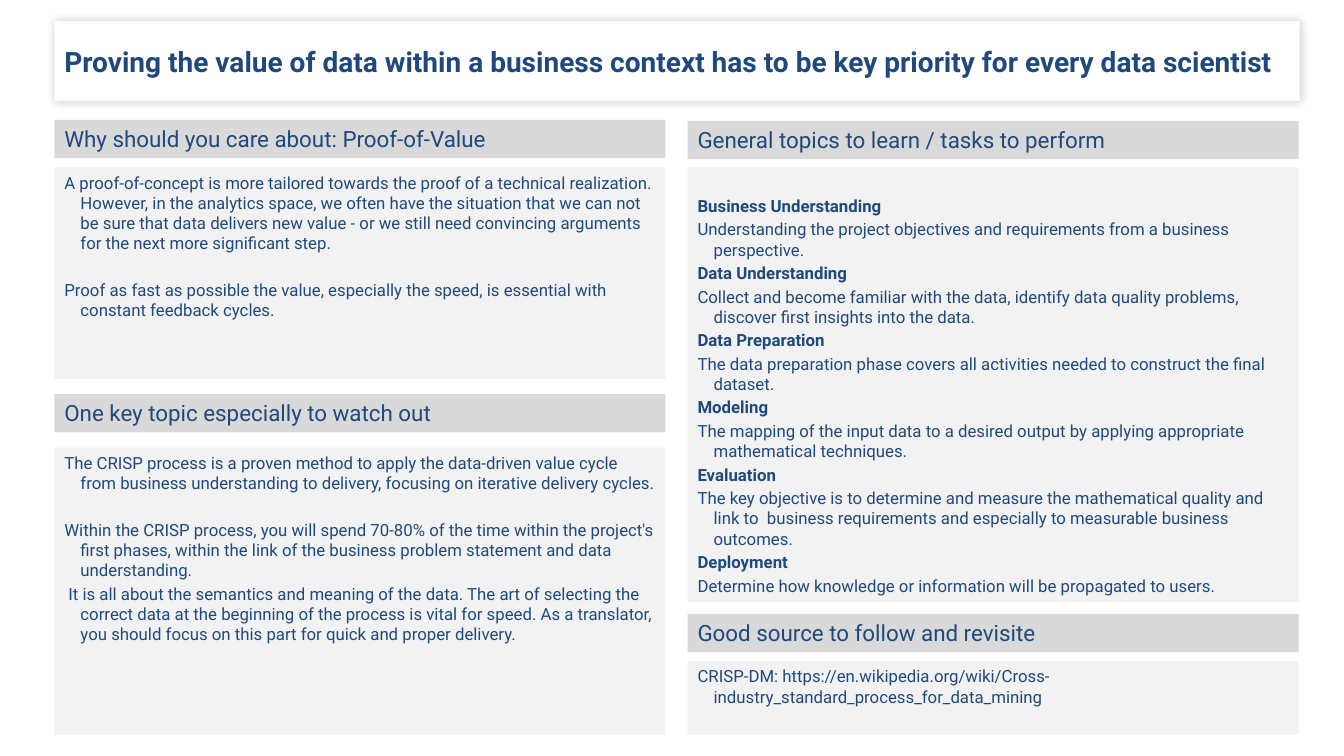
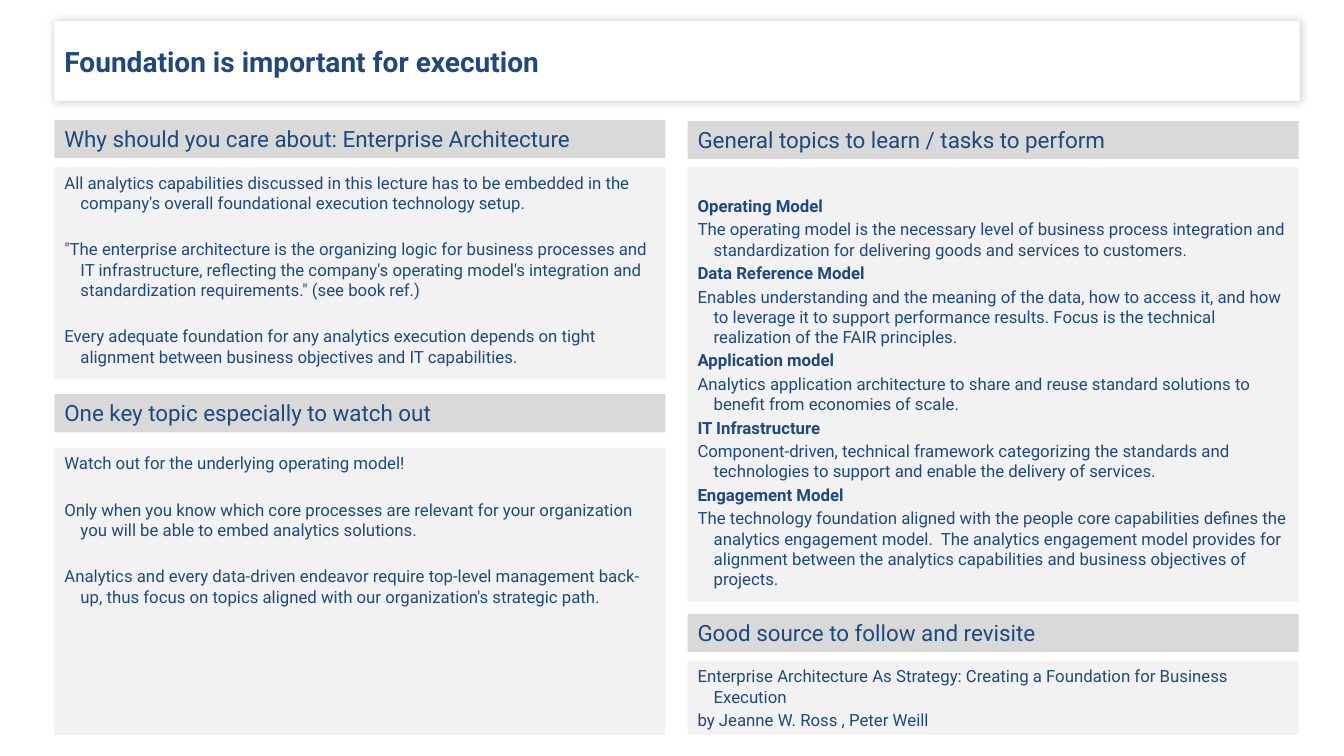
from lxml import etree
from pptx import Presentation
from pptx.dml.color import RGBColor
from pptx.enum.shapes import MSO_SHAPE
from pptx.enum.text import MSO_ANCHOR, PP_ALIGN
from pptx.oxml.ns import qn
from pptx.util import Inches, Pt

RECTANGLE = MSO_SHAPE.RECTANGLE
TOP, MIDDLE = MSO_ANCHOR.TOP, MSO_ANCHOR.MIDDLE
LEFT = PP_ALIGN.LEFT

FONT = "Roboto"
NAVY, WHITE, BAND, PANEL = "1F497D", "FFFFFF", "D9D9D9", "F2F2F2"

TITLE_BOX = (0.54, 0.21, 12.35, 0.79)
COLUMN_WIDTH = 6.06
BAND_HEIGHT = 0.38
LEFT_X, RIGHT_X = 0.54, 6.82
HANG = 0.16

# Section name: left, top of band, top of panel, height of panel, top inset
SECTIONS = {
    "why": (LEFT_X, 1.19, 1.66, 2.1, 0.05),
    "watch": (LEFT_X, 3.91, 4.44, 2.85, 0.05),
    "topics": (RIGHT_X, 1.2, 1.66, 4.31, 0.28),
    "source": (RIGHT_X, 6.09, 6.56, 0.73, 0.05),
}

# Paragraph styles: font values, space before in points, left margin, first-line indent
STYLES = {
    "title": ({"size": Pt(20), "bold": True}, 0, 0, 0),
    "band": ({"size": Pt(16), "bold": False}, 0, 0, 0),
    "text": ({"size": Pt(12), "bold": False}, 2.4, HANG, -HANG),
    "spaced": ({"size": Pt(12), "bold": False}, 19, HANG, -HANG),
    "shifted": ({"size": Pt(12), "bold": False}, 2.4, HANG, -0.12),
    "topic": ({"size": Pt(12), "bold": True}, 2.4, HANG, -HANG),
}


def color(hex_value):
    return RGBColor.from_string(hex_value)


def add_paragraph(frame, text, style, first):
    font_values, space_before, margin, indent = STYLES[style]
    paragraph = frame.paragraphs[0] if first else frame.add_paragraph()
    properties = paragraph._p.get_or_add_pPr()
    properties.set("marL", str(Inches(margin)))
    properties.set("indent", str(Inches(indent)))
    paragraph.alignment = LEFT
    paragraph.space_before = Pt(0 if first else space_before)
    run = paragraph.add_run()
    run.text = text
    run.font.name = FONT
    run.font.color.rgb = color(NAVY)
    for name, value in font_values.items():
        setattr(run.font, name, value)


def add_box(slide, box, fill, paragraphs, anchor=TOP, top_inset=0.05):
    """Add a filled rectangle holding (style, text) paragraphs."""
    shape = slide.shapes.add_shape(RECTANGLE, *(Inches(length) for length in box))
    shape.shadow.inherit = False
    shape.fill.solid()
    shape.fill.fore_color.rgb = color(fill)
    shape.line.fill.background()
    frame = shape.text_frame
    frame.word_wrap = True
    frame.vertical_anchor = anchor
    frame.margin_top = Inches(top_inset)
    for index, (style, text) in enumerate(paragraphs):
        add_paragraph(frame, text, style, index == 0)
    return shape


def add_soft_shadow(shape):
    effects = shape._element.spPr.find(qn("a:effectLst"))
    shadow = etree.SubElement(effects, qn("a:outerShdw"), blurRad=str(Pt(6)),
                              dist="0", dir=str(315 * 60000), rotWithShape="0")
    shade = etree.SubElement(shadow, qn("a:srgbClr"), val="000000")
    etree.SubElement(shade, qn("a:alpha"), val="20000")


def add_title(slide, text):
    add_soft_shadow(add_box(slide, TITLE_BOX, WHITE, [("title", text)], MIDDLE))


def add_section(slide, section, heading, paragraphs):
    left, band_top, panel_top, panel_height, top_inset = SECTIONS[section]
    add_box(slide, (left, band_top, COLUMN_WIDTH, BAND_HEIGHT), BAND,
            [("band", heading)])
    add_box(slide, (left, panel_top, COLUMN_WIDTH, panel_height), PANEL,
            paragraphs, top_inset=top_inset)


def topic_paragraphs(topics):
    return [pair for topic, text in topics
            for pair in (("topic", topic), ("text", text))]


def add_lesson_slide(presentation, lesson):
    slide = presentation.slides.add_slide(presentation.slide_layouts[6])
    add_title(slide, lesson["title"])
    add_section(slide, "why", f"Why should you care about: {lesson['subject']}",
                lesson["why"])
    add_section(slide, "watch", "One key topic especially to watch out",
                lesson["watch"])
    add_section(slide, "topics", "General topics to learn / tasks to perform",
                topic_paragraphs(lesson["topics"]))
    add_section(slide, "source", "Good source to follow and revisite",
                lesson["source"])


PROOF_OF_VALUE = {
    "title": "Proving the value of data within a business context has to be key "
             "priority for every data scientist",
    "subject": "Proof-of-Value",
    "why": [
        ("text", "A proof-of-concept is more tailored towards the proof of a technical "
                 "realization. However, in the analytics space, we often have the "
                 "situation that we can not be sure that data delivers new value - or "
                 "we still need convincing arguments for the next more significant step."),
        ("spaced", "Proof as fast as possible the value, especially the speed, is "
                   "essential with constant feedback cycles."),
    ],
    "watch": [
        ("text", "The CRISP process is a proven method to apply the data-driven value "
                 "cycle from business understanding to delivery, focusing on iterative "
                 "delivery cycles."),
        ("spaced", "Within the CRISP process, you will spend 70-80% of the time within "
                   "the project's first phases, within the link of the business problem "
                   "statement and data understanding."),
        ("shifted", "It is all about the semantics and meaning of the data. The art of "
                    "selecting the correct data at the beginning of the process is vital "
                    "for speed. As a translator, you should focus on this part for quick "
                    "and proper delivery."),
    ],
    "topics": [
        ("Business Understanding",
         "Understanding the project objectives and requirements from a business "
         "perspective."),
        ("Data Understanding",
         "Collect and become familiar with the data, identify data quality problems, "
         "discover first insights into the data."),
        ("Data Preparation",
         "The data preparation phase covers all activities needed to construct the "
         "final dataset."),
        ("Modeling",
         "The mapping of the input data to a desired output by applying appropriate "
         "mathematical techniques."),
        ("Evaluation",
         "The key objective is to determine and measure the mathematical quality and "
         "link to  business requirements and especially to measurable business outcomes."),
        ("Deployment",
         "Determine how knowledge or information will be propagated to users."),
    ],
    "source": [
        ("text", "CRISP-DM: https://en.wikipedia.org/wiki/"
                 "Cross-industry_standard_process_for_data_mining"),
    ],
}

ENTERPRISE_ARCHITECTURE = {
    "title": "Foundation is important for execution",
    "subject": "Enterprise Architecture",
    "why": [
        ("text", "All analytics capabilities discussed in this lecture has to be "
                 "embedded in the company's overall foundational execution technology "
                 "setup."),
        ("spaced", "\"The enterprise architecture is the organizing logic for business "
                   "processes and IT infrastructure, reflecting the company's operating "
                   "model's integration and standardization requirements.\" (see book "
                   "ref.)"),
        ("spaced", "Every adequate foundation for any analytics execution depends on "
                   "tight alignment between business objectives and IT capabilities."),
    ],
    "watch": [
        ("text", "Watch out for the underlying operating model!"),
        ("spaced", "Only when you know which core processes are relevant for your "
                   "organization you will be able to embed analytics solutions."),
        ("spaced", "Analytics and every data-driven endeavor require top-level "
                   "management back-up, thus focus on topics aligned with our "
                   "organization's strategic path."),
    ],
    "topics": [
        ("Operating Model",
         "The operating model is the necessary level of business process integration "
         "and standardization for delivering goods and services to customers."),
        ("Data Reference Model",
         "Enables understanding and the meaning of the data, how to access it, and how "
         "to leverage it to support performance results. Focus is the technical "
         "realization of the FAIR principles."),
        ("Application model",
         "Analytics application architecture to share and reuse standard solutions to "
         "benefit from economies of scale."),
        ("IT Infrastructure",
         "Component-driven, technical framework categorizing the standards and "
         "technologies to support and enable the delivery of services."),
        ("Engagement Model",
         "The technology foundation aligned with the people core capabilities defines "
         "the analytics engagement model.  The analytics engagement model provides for "
         "alignment between the analytics capabilities and business objectives of "
         "projects."),
    ],
    "source": [
        ("text", "Enterprise Architecture As Strategy: Creating a Foundation for "
                 "Business Execution"),
        ("text", "by Jeanne W. Ross , Peter Weill"),
    ],
}


def main():
    presentation = Presentation()
    presentation.slide_width = Inches(13.33)
    presentation.slide_height = Inches(7.5)
    for lesson in (PROOF_OF_VALUE, ENTERPRISE_ARCHITECTURE):
        add_lesson_slide(presentation, lesson)
    presentation.save("out.pptx")


if __name__ == "__main__":
    main()
